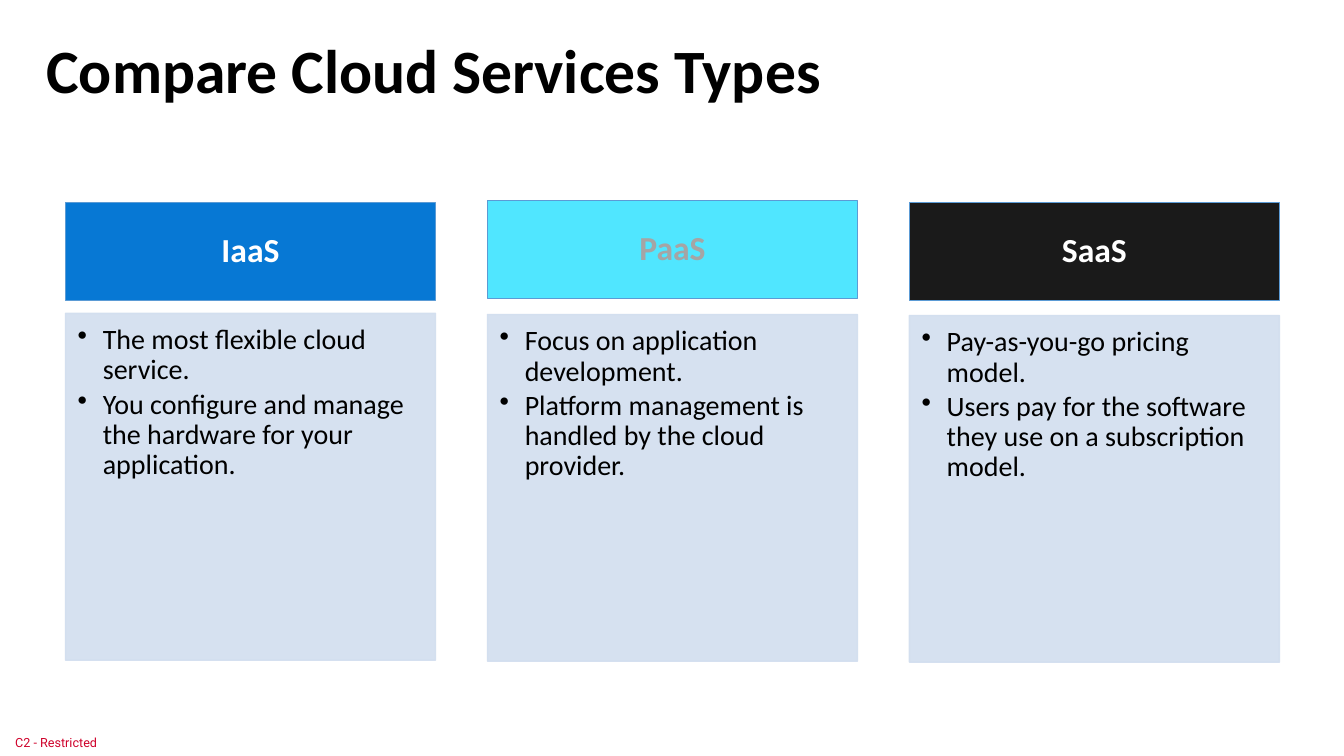
import pptx
import pptx.util
import pptx.dml.color
import pptx.enum.shapes
import pptx.enum.text
import pptx.oxml
import pptx.oxml.ns
from pptx.util import Inches

ALIGN = pptx.enum.text.PP_ALIGN
ANCHOR = pptx.enum.text.MSO_ANCHOR

COLUMN_WIDTH = 3.67
FIRST_LEFT, LAST_LEFT = 0.65, 9.02
HEADER_HEIGHT, BODY_HEIGHT = 0.97, 3.44
PANEL_COLOR = "D2DEEF"
OUTLINE_COLOR = "5B9BD5"

# name, header fill, header text colour, header top, body top, points
services = [
    ("IaaS", "0778D4", "FFFFFF", 2.01, 3.11,
     ["The most flexible cloud service.",
      "You configure and manage the hardware for your application."]),
    ("PaaS", "50E6FF", "A5A5A5", 1.99, 3.12,
     ["Focus on application development.",
      "Platform management is handled by the cloud provider."]),
    ("SaaS", "1A1A1A", "FFFFFF", 2.01, 3.13,
     ["Pay-as-you-go pricing model.",
      "Users pay for the software they use on a subscription model."]),
]


def write(shape, lines, size, color="000000", bold=False, font="Calibri",
          align=ALIGN.LEFT, anchor=ANCHOR.MIDDLE, insets=(0.1, 0.05, 0.1, 0.05),
          spacing=0.9, after=0, bullets=False, wrap=True):
    """Fill a shape with one paragraph per line; insets are left, top, right, bottom."""
    frame = shape.text_frame
    frame.auto_size = pptx.enum.text.MSO_AUTO_SIZE.NONE
    frame.word_wrap = wrap
    frame.vertical_anchor = anchor
    (frame.margin_left, frame.margin_top,
     frame.margin_right, frame.margin_bottom) = map(Inches, insets)
    frame.text = "\n".join(lines)
    for paragraph in frame.paragraphs:
        paragraph.alignment = align
        paragraph.line_spacing = spacing
        paragraph.space_after = pptx.util.Pt(after)
        run_font = paragraph.runs[0].font
        run_font.name, run_font.size, run_font.bold = font, pptx.util.Pt(size), bold
        run_font.color.rgb = pptx.dml.color.RGBColor.from_string(color)
        if bullets:
            properties = paragraph._p.get_or_add_pPr()
            properties.set("marL", str(Inches(0.25)))
            properties.set("indent", str(-Inches(0.25)))
            properties.append(pptx.oxml.parse_xml(
                f'<a:buChar {pptx.oxml.ns.nsdecls("a")} char="•"/>'))


def add_panel(left, top, height, fill, line, opacity=100):
    shape = slide.shapes.add_shape(
        pptx.enum.shapes.MSO_SHAPE.RECTANGLE,
        Inches(left), Inches(top), Inches(COLUMN_WIDTH), Inches(height))
    shape.shadow.inherit = False
    shape.fill.solid()
    shape.fill.fore_color.rgb = pptx.dml.color.RGBColor.from_string(fill)
    shape.line.color.rgb = pptx.dml.color.RGBColor.from_string(line)
    shape.line.width = pptx.util.Pt(1)
    if opacity < 100:
        for color in shape._element.spPr.iter(pptx.oxml.ns.qn("a:srgbClr")):
            color.append(pptx.oxml.parse_xml(
                f'<a:alpha {pptx.oxml.ns.nsdecls("a")} val="{opacity * 1000}"/>'))
    return shape


presentation = pptx.Presentation()
presentation.slide_width = Inches(13.33)
presentation.slide_height = Inches(7.5)
slide = presentation.slides.add_slide(presentation.slide_layouts.get_by_name("Title Only"))

title = slide.shapes.title
title.left, title.top = Inches(0.36), Inches(0)
title.width, title.height = Inches(11.5), Inches(1.45)
write(title, ["Compare Cloud Services Types"], 44, bold=True)

classification = slide.shapes.add_textbox(
    Inches(0), Inches(7.23), Inches(1.11), Inches(0.27))
write(classification, ["C2 - Restricted"], 9, color="CF022B", font="Roboto",
      insets=(0.15, 0, 0, 0), spacing=1, wrap=False)

column_pitch = (LAST_LEFT - FIRST_LEFT) / (len(services) - 1)
for column, (name, fill, text_color, header_top, body_top, points) in enumerate(services):
    left = FIRST_LEFT + column * column_pitch
    header = add_panel(left, header_top, HEADER_HEIGHT, fill, OUTLINE_COLOR)
    write(header, [name], 24, color=text_color, bold=True, align=ALIGN.CENTER,
          insets=(0.19, 0.11, 0.19, 0.11))
    body = add_panel(left, body_top, BODY_HEIGHT, PANEL_COLOR, PANEL_COLOR, opacity=90)
    write(body, points, 20, anchor=ANCHOR.TOP, insets=(0.12, 0.12, 0.16, 0.17),
          after=3, bullets=True)

presentation.save("out.pptx")
